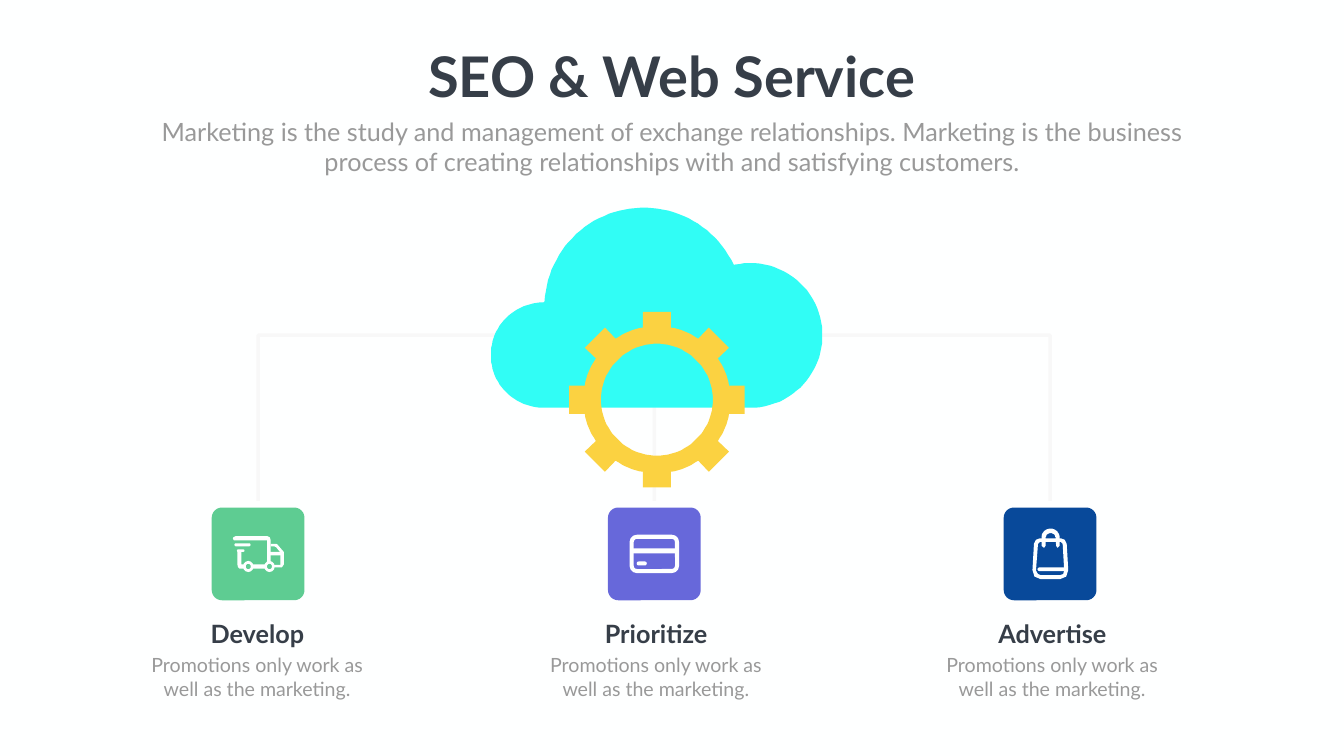
"""Build the SEO and web service slide: a cloud with a gear feeding three steps."""
import math
from dataclasses import dataclass
from typing import Any, Callable

from lxml import etree
from pptx import Presentation, oxml, util as u
from pptx.dml.color import RGBColor
from pptx.enum import shapes, text
from pptx.oxml import ns
from pptx.slide import Slide

PX = u.Inches(0.01)
Point = tuple[float, float]
Contour = list[Point]
Box = tuple[int, int, int, int]
AUTO = shapes.MSO_SHAPE


@dataclass(frozen=True)
class Theme:
    font: str = "Lato"
    background: str = "FEFFFF"
    dark: str = "363E48"
    grey: str = "999999"
    rail: str = "EBEBEB"
    cloud: str = "31FDF5"
    gear: str = "FBD241"
    green: str = "5ECC92"
    violet: str = "6768DA"
    blue: str = "08499A"
    title_size: int = 80
    lead_size: int = 36
    body_size: int = 28


THEME = Theme()


@dataclass(frozen=True)
class Step:
    name: str
    colour: str
    center: int
    text_center: int
    draw_icon: Callable[[Slide], None]


def apply(target: Any, values: dict[str, Any]) -> None:
    for name, value in values.items():
        setattr(target, name, value)


def emu(box: Box) -> list[int]:
    return [value * PX for value in box]


def arc(center: Point, radius: float, start: float, end: float, steps: int = 48) -> Contour:
    angles = [math.radians(start + (end - start) * i / steps) for i in range(steps + 1)]
    return [(center[0] + radius * math.cos(a), center[1] + radius * math.sin(a)) for a in angles]


def paint(shape: Any, colour: str) -> Any:
    shape.shadow.inherit = False
    shape.fill.solid()
    shape.fill.fore_color.rgb = RGBColor.from_string(colour)
    shape.line.fill.background()
    return shape


def outline(slide: Slide, contours: list[Contour], closed: bool = True) -> Any:
    builder = slide.shapes.build_freeform(*contours[0][0], scale=PX)
    builder.add_line_segments(contours[0][1:], close=closed)
    for contour in contours[1:]:
        builder.move_to(*contour[0])
        builder.add_line_segments(contour[1:], close=closed)
    return builder.convert_to_shape()


def add_preset(slide: Slide, kind: Any, box: Box, colour: str, adjust: float | None = None) -> Any:
    shape = paint(slide.shapes.add_shape(kind, *emu(box)), colour)
    if adjust is not None:
        shape.adjustments[0] = adjust
    return shape


def style_rail(shape: Any) -> None:
    shape.line.color.rgb = RGBColor.from_string(THEME.rail)
    shape.line.width = u.Pt(5)
    properties = shape.element.spPr
    colour = properties.find(".//" + ns.qn("a:srgbClr"))
    etree.SubElement(colour, ns.qn("a:alpha"), val="30000")
    if properties.find(ns.qn("a:effectLst")) is None:
        etree.SubElement(properties, ns.qn("a:effectLst"))


def draw_rails(slide: Slide, left: int, middle: int, right: int) -> None:
    ends = emu((middle, 792, middle, 994))
    style_rail(slide.shapes.add_connector(shapes.MSO_CONNECTOR.STRAIGHT, *ends))
    frame = outline(slide, [[(left, 994), (left, 665), (right, 665), (right, 994)]], closed=False)
    frame.fill.background()
    style_rail(frame)


def draw_cloud(slide: Slide) -> None:
    lobes = (arc((1488, 665.5), 143.5, 90, -102.5) + arc((1277, 609), 197, -25, -177)
             + arc((1078, 704.5), 104.5, -90, -270))
    paint(outline(slide, [lobes]), THEME.cloud)


def draw_gear(slide: Slide) -> None:
    center, rim, tip, half_tooth = (1303, 793), 146, 174, 28
    half_angle = math.degrees(math.asin(half_tooth / rim))
    tip_angle = math.degrees(math.atan2(half_tooth, tip))
    teeth: Contour = []
    for angle in range(0, 360, 45):
        teeth += arc(center, math.hypot(tip, half_tooth), angle - tip_angle, angle + tip_angle, 1)
        teeth += arc(center, rim, angle + half_angle, angle + 45 - half_angle, 8)
    paint(outline(slide, [teeth, arc(center, 111, 360, 0, 96)]), THEME.gear)


def draw_truck(slide: Slide) -> None:
    cab = [(537, 1079), (548, 1079), (550, 1080), (562, 1094), (563, 1095), (563, 1120), (559, 1126),
           (541, 1126), (541, 1121), (556, 1121), (556, 1096), (548, 1086), (544, 1084), (537, 1084)]
    skirt = [(499, 1120), (528, 1120), (527, 1124), (529, 1128), (498, 1128), (501, 1124)]
    roof = [(534, 1116), (537, 1116), (537, 1072), (535, 1066), (531, 1064), (467, 1064), (463, 1066),
            (462, 1069), (464, 1072), (467, 1072), (530, 1072), (530, 1117)]
    rear = [(485, 1120), (479, 1120), (479, 1093), (471, 1093), (471, 1120), (472, 1125),
            (475, 1128), (486, 1128), (484, 1124)]
    add_preset(slide, AUTO.RECTANGLE, (534, 1095, 26, 7), THEME.background)
    for part in (cab, skirt, roof, rear):
        paint(outline(slide, [part]), THEME.background)
    for left in (524, 482):
        add_preset(slide, AUTO.DONUT, (left, 1113, 21, 22), THEME.background, 0.26)
    for box in ((465, 1078, 32, 6), (470, 1090, 15, 5)):
        add_preset(slide, AUTO.ROUNDED_RECTANGLE, box, THEME.background, 0.5)


def draw_card(slide: Slide) -> None:
    add_preset(slide, AUTO.RECTANGLE, (1255, 1088, 90, 10), THEME.background)
    add_preset(slide, AUTO.ROUNDED_RECTANGLE, (1263, 1114, 20, 8), THEME.background, 0.5)
    frame = add_preset(slide, AUTO.ROUNDED_RECTANGLE, (1253, 1065, 90, 68), THEME.background, 0.15)
    frame.fill.background()
    frame.line.color.rgb = RGBColor.from_string(THEME.background)
    frame.line.width = 8 * PX


def draw_bag(slide: Slide) -> None:
    outer = [(2103, 1149), (2064, 1149), (2052, 1144), (2048, 1131), (2051, 1079), (2055, 1071),
             (2063, 1068), (2104, 1068), (2112, 1071), (2116, 1079), (2119, 1131), (2115, 1144)]
    inner = [(2063, 1075), (2059, 1079), (2055, 1132), (2059, 1139), (2064, 1141),
             (2103, 1141), (2109, 1139), (2111, 1132), (2108, 1079), (2104, 1075)]
    handle = (arc((2084, 1067), 18, 180, 360) + [(2102, 1083), (2098, 1087), (2095, 1083)]
              + arc((2084, 1068), 10, 360, 180) + [(2074, 1083), (2071, 1087), (2066, 1083)])
    add_preset(slide, AUTO.ROUNDED_RECTANGLE, (2058, 1126, 56, 7), THEME.background, 0.5)
    paint(outline(slide, [outer, inner[::-1]]), THEME.background)
    paint(outline(slide, [handle]), THEME.background)


def write(shape: Any, box: Box, words: str, size: int, colour: str,
          bold: bool = False, wrap: bool = True) -> None:
    apply(shape, dict(zip(("left", "top", "width", "height"), emu(box))))
    frame = shape.text_frame
    apply(frame, {"word_wrap": wrap, "auto_size": text.MSO_AUTO_SIZE.SHAPE_TO_FIT_TEXT,
                  "vertical_anchor": text.MSO_ANCHOR.TOP})
    paragraph = frame.paragraphs[0]
    apply(paragraph, {"alignment": text.PP_ALIGN.CENTER, "space_before": u.Pt(0)})
    run = paragraph.add_run()
    run.text = words
    apply(run.font, {"name": THEME.font, "size": u.Pt(size), "bold": bold})
    run.font.color.rgb = RGBColor.from_string(colour)


def draw_caption(slide: Slide, step: Step) -> None:
    details = "Promotions only work as well as the marketing."
    for width, top, height, words, size, colour, bold in (
            (261, 1221, 71, step.name, THEME.lead_size, THEME.dark, True),
            (494, 1291, 104, details, THEME.body_size, THEME.grey, False)):
        box = (step.text_center - width // 2, top, width, height)
        write(slide.shapes.add_textbox(*emu(box)), box, words, size, colour, bold)


def main() -> None:
    steps = [Step("Develop", THEME.green, 512, 510, draw_truck),
             Step("Prioritize", THEME.violet, 1298, 1301, draw_card),
             Step("Advertise", THEME.blue, 2083, 2087, draw_bag)]
    presentation = Presentation()
    apply(presentation, {"slide_width": 2666 * PX, "slide_height": 1500 * PX})
    slide = presentation.slides.add_slide(presentation.slide_layouts[0])
    slide.background.fill.solid()
    slide.background.fill.fore_color.rgb = RGBColor.from_string(THEME.background)
    write(slide.shapes.title, (828, 77, 1009, 145), "SEO & Web Service",
          THEME.title_size, THEME.dark, bold=True, wrap=False)
    write(slide.placeholders[1], (292, 226, 2082, 131),
          "Marketing is the study and management of exchange relationships. Marketing is the "
          "business process of creating relationships with and satisfying customers.",
          THEME.lead_size, THEME.grey)
    draw_rails(slide, *(step.center for step in steps))
    draw_cloud(slide)
    draw_gear(slide)
    for step in steps:
        add_preset(slide, AUTO.ROUNDED_RECTANGLE, (step.center - 92, 1007, 184, 184), step.colour, 0.11)
        step.draw_icon(slide)
        draw_caption(slide, step)
    presentation.save("out.pptx")


if __name__ == "__main__":
    main()
